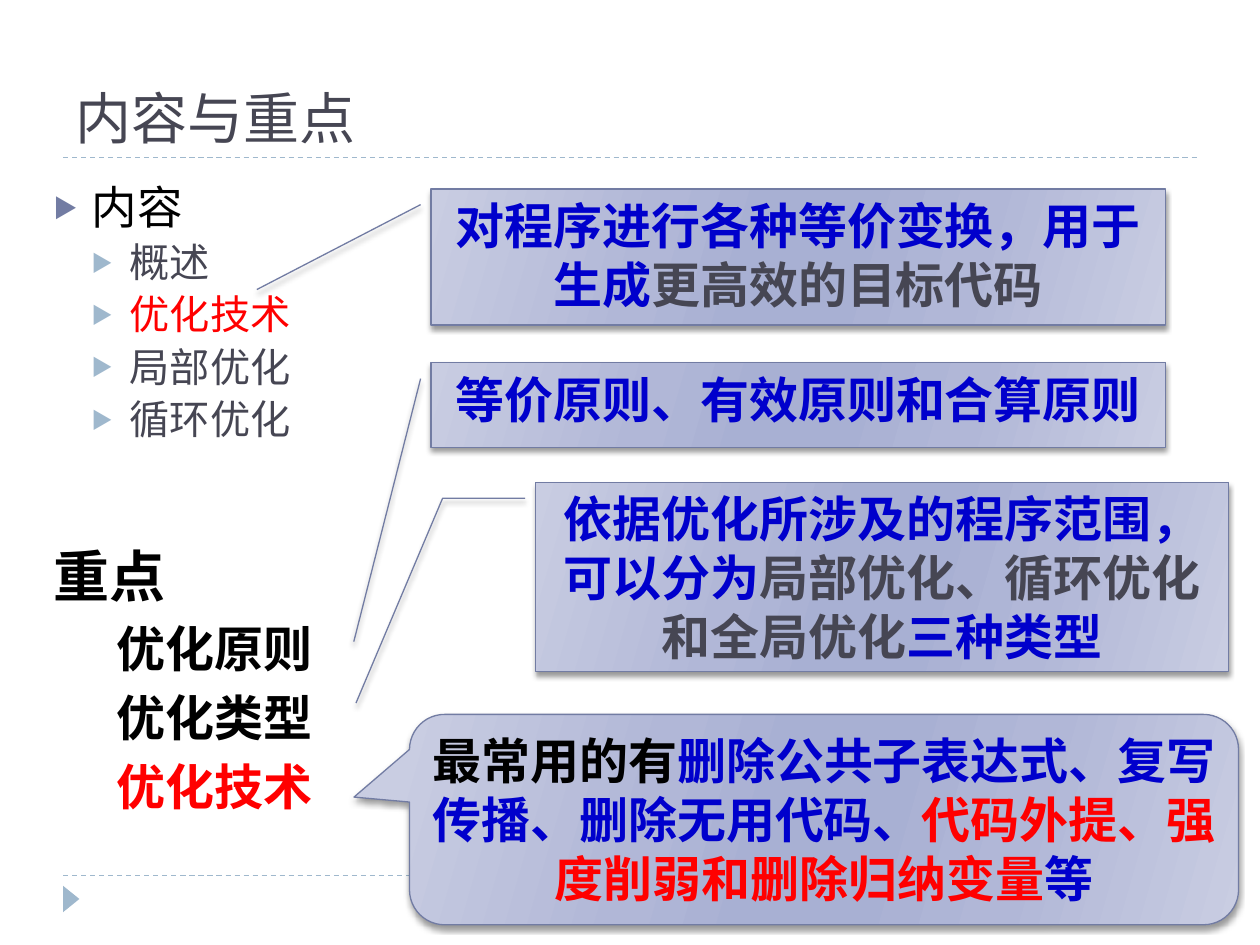
from lxml import etree
from pptx import Presentation
from pptx.dml.color import RGBColor
from pptx.enum.dml import MSO_LINE
from pptx.enum.shapes import MSO_CONNECTOR, MSO_SHAPE
from pptx.enum.text import MSO_ANCHOR, PP_ALIGN
from pptx.oxml import parse_xml
from pptx.oxml.ns import nsdecls, qn
from pptx.util import Inches, Pt

FONT = "Noto Sans CJK SC"
BLACK = RGBColor(0x00, 0x00, 0x00)
RED = RGBColor(0xFF, 0x00, 0x00)
BLUE = RGBColor(0x00, 0x00, 0xCC)
SLATE = RGBColor(0x46, 0x46, 0x53)
INDIGO = RGBColor(0x72, 0x7C, 0xA3)
SKY = RGBColor(0x9F, 0xB8, 0xCD)
GRADIENT = [(0, "C9CDE2"), (30, "B1B7D7"), (45, "A8B0D3"),
            (55, "A8B0D3"), (73, "B1B7D7"), (100, "C9CDE2")]
GRADIENT_ANGLE = 16
LIST_SPACING = 0.9
BULLET_PERCENT = 54

TITLE = "内容与重点"
RULES = [1.25, 6.95]
# text, level, colour
CONTENTS = [("内容", 0, BLACK), ("概述", 1, SLATE), ("优化技术", 1, RED),
            ("局部优化", 1, SLATE), ("循环优化", 1, SLATE)]
CONTENT_LEVELS = [  # size, space before, bullet colour
    (26, 6, INDIGO), (23, 5, SKY)]
KEY_POINTS = [("重点", 0, BLACK), ("优化原则", 1, BLACK),
              ("优化类型", 1, BLACK), ("优化技术", 1, RED)]
KEY_SIZES = [32, 28]
# preset, box, adjustments, runs
CALLOUTS = [
    (MSO_SHAPE.LINE_CALLOUT_1, (3.42, 2.88, 5.83, 0.67),
     (0.188, -0.014, 3.302, -0.105),
     [("等价原则、有效原则和合算原则", BLUE)]),
    (MSO_SHAPE.LINE_CALLOUT_1, (3.42, 1.5, 5.83, 1.08),
     (0.115, -0.014, 0.739, -0.237),
     [("对程序进行各种等价变换，用于生成", BLUE), ("更高效的目标代码", SLATE)]),
    (MSO_SHAPE.ROUNDED_RECTANGULAR_CALLOUT, (3.25, 5.67, 6.58, 1.67),
     (-0.567, -0.107, 0.167),
     [("最常用的有", BLACK), ("删除公共子表达式、复写传播、删除无用代码、", BLUE),
      ("代码外提、强度削弱和删除归纳变量", RED), ("等", BLUE)]),
    (MSO_SHAPE.LINE_CALLOUT_2, (4.25, 3.83, 5.5, 1.5),
     (0.083, -0.015, 0.083, -0.134, 1.167, -0.259),
     [("依据优化所涉及的程序范围，可以分为", BLUE),
      ("局部优化、循环优化和全局优化", SLATE), ("三种类型", BLUE)]),
]


def add_run(paragraph, text, size, color, bold=False):
    run = paragraph.add_run()
    run.text = text
    font = run.font
    font.name, font.size, font.bold = FONT, Pt(size), bold
    font.color.rgb = color
    east_asian = etree.SubElement(run._r.get_or_add_rPr(), qn("a:ea"))
    east_asian.set("typeface", FONT)


def indent(paragraph, left, first=0):
    properties = paragraph._p.get_or_add_pPr()
    properties.set("marL", str(Inches(left)))
    properties.set("indent", str(Inches(first)))
    return properties


def add_bullet(properties, color):
    for xml in (f'<a:buClr {nsdecls("a")}><a:srgbClr val="{color}"/></a:buClr>',
                f'<a:buSzPct {nsdecls("a")} val="{BULLET_PERCENT * 1000}"/>',
                f'<a:buFont {nsdecls("a")} typeface="{FONT}"/>',
                f'<a:buChar {nsdecls("a")} char="▶"/>'):
        properties.append(parse_xml(xml))


def add_text_frame(slide, box):
    frame = slide.shapes.add_textbox(*map(Inches, box)).text_frame
    frame.word_wrap = True
    return frame


def next_paragraph(frame, index):
    return frame.add_paragraph() if index else frame.paragraphs[0]


def add_rule(slide, y):
    rule = slide.shapes.add_connector(
        MSO_CONNECTOR.STRAIGHT, Inches(0.5), Inches(y), Inches(9.5), Inches(y))
    rule.line.color.rgb = SKY
    rule.line.width = Pt(0.75)
    rule.line.dash_style = MSO_LINE.DASH
    etree.SubElement(rule._element.spPr, qn("a:effectLst"))


def add_corner_triangle(slide):
    triangle = slide.shapes.add_shape(
        MSO_SHAPE.ISOSCELES_TRIANGLE, *map(Inches, (0.46, 7.07, 0.21, 0.13)))
    triangle.rotation = 90
    triangle.shadow.inherit = False
    triangle.fill.solid()
    triangle.fill.fore_color.rgb = SKY
    triangle.line.fill.background()


def add_contents(slide):
    frame = add_text_frame(slide, (0.33, 1.42, 2.75, 2.67))
    for index, (text, level, color) in enumerate(CONTENTS):
        size, space, bullet_color = CONTENT_LEVELS[level]
        paragraph = next_paragraph(frame, index)
        paragraph.level = level
        paragraph.line_spacing = LIST_SPACING
        paragraph.space_before = Pt(space if index else 0)
        add_bullet(indent(paragraph, 0.3 * (level + 1), -0.3), bullet_color)
        add_run(paragraph, text, size, color)


def add_key_points(slide):
    frame = add_text_frame(slide, (0.33, 4.25, 2.75, 2.42))
    for index, (text, level, color) in enumerate(KEY_POINTS):
        size = KEY_SIZES[level]
        paragraph = next_paragraph(frame, index)
        paragraph.level = level
        paragraph.space_before = Pt(0.2 * size if index else 0)
        indent(paragraph, 0.5 * level)
        add_run(paragraph, text, size, color, bold=True)


def add_callout(slide, preset, box, adjustments, runs):
    shape = slide.shapes.add_shape(preset, *map(Inches, box))
    for index, value in enumerate(adjustments):
        shape.adjustments[index] = value
    shape.line.color.rgb = INDIGO
    shape.line.width = Pt(0.75)

    stops = "".join(f'<a:gs pos="{position * 1000}"><a:srgbClr val="{color}"/></a:gs>'
                    for position, color in GRADIENT)
    shape.line._ln.addprevious(parse_xml(
        f'<a:gradFill {nsdecls("a")} rotWithShape="1"><a:gsLst>{stops}</a:gsLst>'
        f'<a:lin ang="{GRADIENT_ANGLE * 60000}" scaled="0"/></a:gradFill>'))
    shape.line._ln.addnext(parse_xml(
        f'<a:effectLst {nsdecls("a")}><a:outerShdw blurRad="{Pt(3)}" dist="{Pt(2)}" '
        'dir="5400000" rotWithShape="0"><a:srgbClr val="000000">'
        '<a:alpha val="40000"/></a:srgbClr></a:outerShdw></a:effectLst>'))

    frame = shape.text_frame
    frame.word_wrap = True
    frame.vertical_anchor = MSO_ANCHOR.TOP
    paragraph = frame.paragraphs[0]
    paragraph.alignment = PP_ALIGN.CENTER
    for text, color in runs:
        add_run(paragraph, text, 28, color, bold=True)


def add_title(slide):
    title = slide.shapes.title
    title.left, title.top, title.width, title.height = map(Inches, (0.5, 0.17, 9, 1.08))
    title.text_frame.vertical_anchor = MSO_ANCHOR.BOTTOM
    paragraph = title.text_frame.paragraphs[0]
    paragraph.alignment = PP_ALIGN.LEFT
    add_run(paragraph, TITLE, 32, SLATE)


def main():
    presentation = Presentation()
    presentation.slide_width, presentation.slide_height = Inches(10), Inches(7.5)
    slide = presentation.slides.add_slide(presentation.slide_layouts[5])
    for y in RULES:
        add_rule(slide, y)
    add_corner_triangle(slide)
    add_title(slide)
    add_contents(slide)
    add_key_points(slide)
    for callout in CALLOUTS:
        add_callout(slide, *callout)
    presentation.save("out.pptx")


if __name__ == "__main__":
    main()
